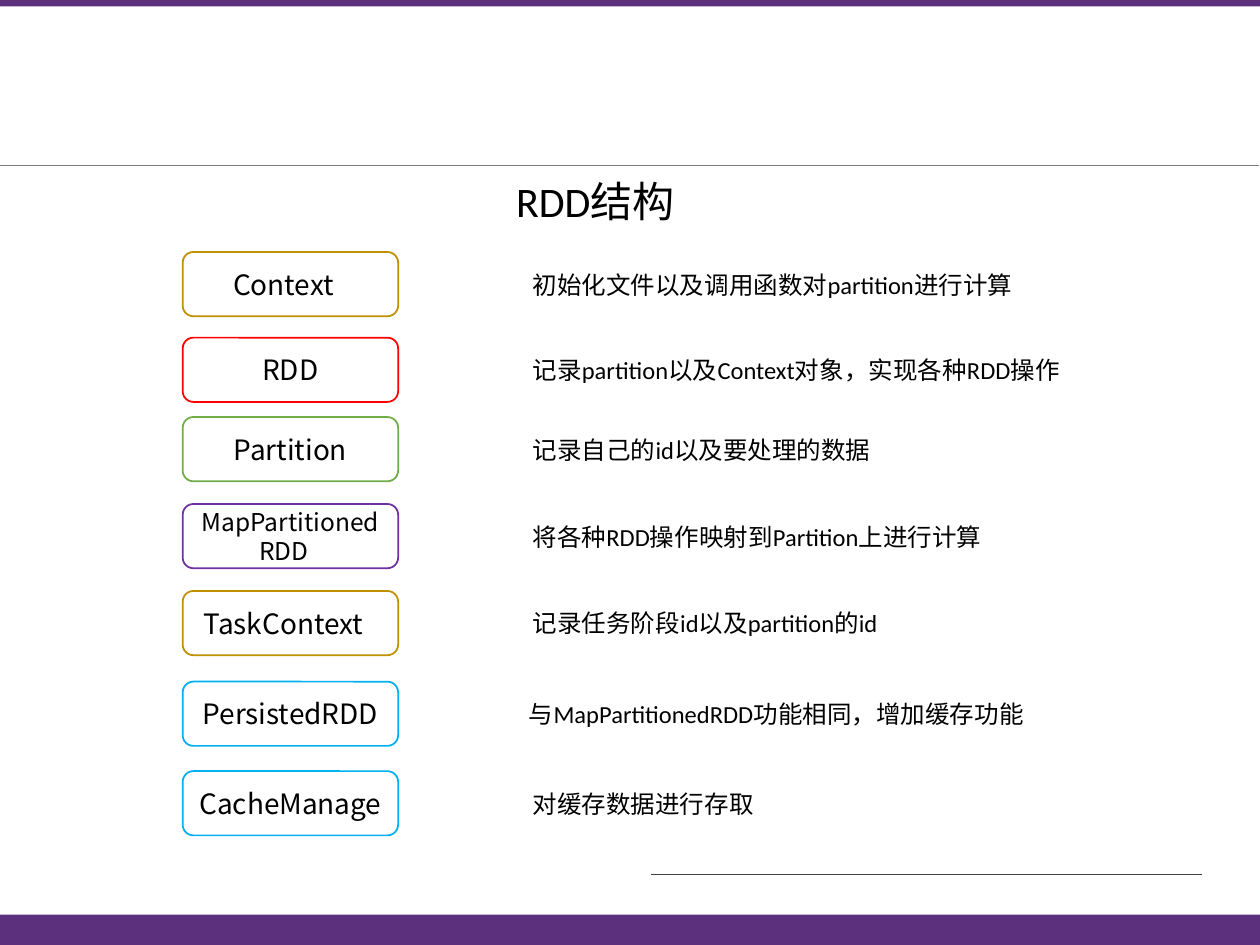
from pptx import Presentation, util as u
from pptx.dml.color import RGBColor
from pptx.enum import shapes, text
from pptx.oxml import ns
from lxml import etree

COLS, ROWS = 100, 75
WIDE, HIGH = u.Inches(10), u.Inches(7.5)
SANS, BODY = "Noto Sans CJK SC", "Calibri"
PURPLE = "5C307D"
MID = text.PP_ALIGN.CENTER
LEFT = text.PP_ALIGN.LEFT

ITEMS = [
    (20, "BF9000", [("Context", 16, 1.1)], "初始化文件以及调用函数对partition进行计算"),
    (26.8, "FF0000", [("RDD", 16, 0)], "记录partition以及Context对象，实现各种RDD操作"),
    (33.1, "70AD47", [("Partition", 16, 0)], "记录自己的id以及要处理的数据"),
    (40, "7030A0", [("MapPartitioned", 14, 0), ("RDD", 14, 1)],
     "将各种RDD操作映射到Partition上进行计算"),
    (46.9, "BF9000", [("TaskContext", 16, 1.1)], "记录任务阶段id以及partition的id"),
    (54.1, "00B0F0", [("PersistedRDD", 16, 0)], "与MapPartitionedRDD功能相同，增加缓存功能"),
    (61.2, "00B0F0", [("CacheManage", 16, 0)], "对缓存数据进行存取"),
]


def col(n):
    return round(WIDE * n / COLS)


def row(n):
    return round(HIGH * n / ROWS)


def paint(form, tone):
    form.rgb = RGBColor.from_string(tone)


def write(frame, lines, font, align):
    frame.word_wrap = True
    for i, (words, size, inset) in enumerate(lines):
        para = frame.add_paragraph() if i else frame.paragraphs[0]
        para.alignment = align
        if inset:
            para._p.get_or_add_pPr().set("marR", str(col(inset)))
        run = para.add_run()
        run.text = words
        run.font.size = u.Pt(size)
        run.font.name = font
        paint(run.font.color, "000000")
        east = etree.SubElement(run._r.get_or_add_rPr(), ns.qn("a:ea"))
        east.set("typeface", SANS)


def bar(slide, top, high):
    band = slide.shapes.add_shape(
        shapes.MSO_SHAPE.RECTANGLE, 0, row(top), WIDE, row(high))
    band.shadow.inherit = False
    band.fill.solid()
    paint(band.fill.fore_color, PURPLE)
    band.line.fill.background()


def rule(slide, start, end, top, tone):
    line = slide.shapes.add_connector(
        shapes.MSO_CONNECTOR.STRAIGHT, col(start), row(top), col(end), row(top))
    paint(line.line.color, tone)
    line.line.width = u.Pt(0.5)
    etree.SubElement(line._element.spPr, ns.qn("a:effectLst"))


def box(slide, left, top, tone, lines):
    card = slide.shapes.add_shape(
        shapes.MSO_SHAPE.ROUNDED_RECTANGLE, col(left), row(top), col(17.1), row(5.1))
    card.shadow.inherit = False
    card.fill.solid()
    paint(card.fill.fore_color, "FFFFFF")
    paint(card.line.color, tone)
    card.line.width = u.Pt(1)
    card.text_frame.vertical_anchor = text.MSO_ANCHOR.MIDDLE
    write(card.text_frame, lines, SANS, MID)


def note(slide, left, top, wide, high, words, size, align):
    area = slide.shapes.add_textbox(col(left), row(top), col(wide), row(high))
    write(area.text_frame, [(words, size, 0)], BODY, align)
    area.text_frame.auto_size = text.MSO_AUTO_SIZE.SHAPE_TO_FIT_TEXT


def main():
    deck = Presentation()
    deck.slide_width, deck.slide_height = WIDE, HIGH
    slide = deck.slides.add_slide(deck.slide_layouts[6])
    bar(slide, 0, 0.5)
    rule(slide, -0.1, 99.9, 13.1, "808080")
    bar(slide, 72.6, 2.4)
    rule(slide, 51.7, 95.4, 69.4, "404040")
    note(slide, 30.5, 13.4, 33.5, 5, "RDD结构", 24, MID)
    for top, tone, lines, words in ITEMS:
        shift = 0.3 if words.startswith("与") else 0
        box(slide, 14.5, top, tone, lines)
        note(slide, 41.3 - shift, top + 0.9, 50, 3.4, words, 14, LEFT)
    deck.save("out.pptx")


if __name__ == "__main__":
    main()
